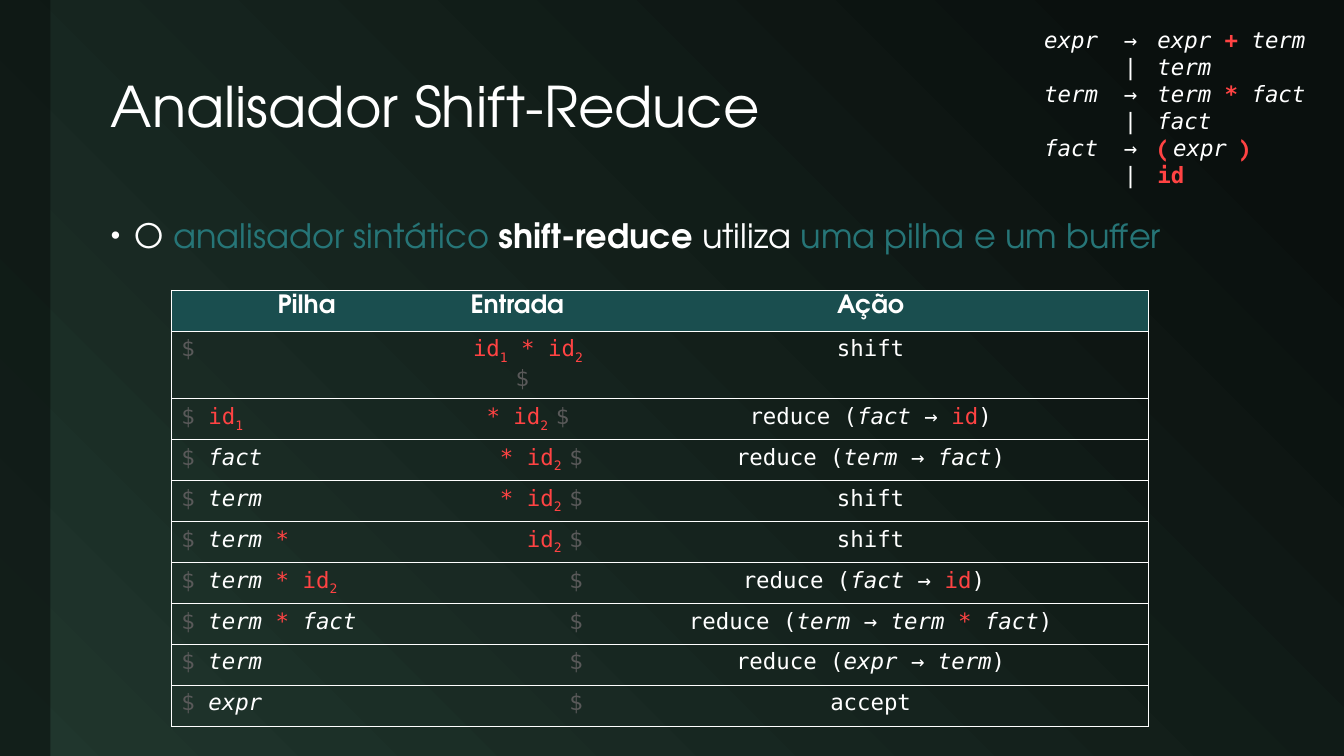
from lxml import etree
from pptx import Presentation
from pptx.dml.color import RGBColor
from pptx.enum import shapes, text
from pptx.oxml import ns
from pptx.util import Inches, Pt

COLORS = {"white": "FFFFFF", "red": "FF4343", "gray": "595959", "teal": "267577",
          "header": "1A4E4F", "dark": "0A100E", "green": "20362D"}
SANS, MONO = "TeX Gyre Adventor", "DejaVu Sans Mono"
NO_STYLE = "{2D5ABB26-0587-4C30-8999-92F81FD0307C}"
LEFT, CENTER, RIGHT = text.PP_ALIGN.LEFT, text.PP_ALIGN.CENTER, text.PP_ALIGN.RIGHT

STYLES = {
    "dollar": dict(color="gray"),
    "token": dict(color="red"),
    "sub": dict(color="red", subscript=True),
    "rule": dict(italic=True),
    "plain": dict(),
    "terminal": dict(color="red", bold=True),
    "paren": dict(color="red", bold=True, font=SANS),
    "sans": dict(font=SANS),
    "strong": dict(bold=True, font=SANS),
    "accent": dict(color="teal", font=SANS),
}

GRAMMAR = [
    ("[rule]expr", "→", "[rule]expr [terminal]+ [rule]term"),
    ("", "|", "[rule]term"),
    ("[rule]term", "→", "[rule]term [terminal]* [rule]fact"),
    ("", "|", "[rule]fact"),
    ("[rule]fact", "→", "[paren]( [rule]expr [paren])"),
    ("", "|", "[terminal]id"),
]


def reduction(head, body):
    return f"[plain]reduce ([rule]{head} [plain]→ {body}[plain])"


END = "[dollar]$"
SECOND = "[token]* id[sub]2 "
TRACE = [
    ("", "[token]id[sub]1[token] * id[sub]2\n" + END, "[plain]shift"),
    ("[token]id[sub]1", SECOND + END + " ", reduction("fact", "[token]id")),
    ("[rule]fact", SECOND + END, reduction("term", "[rule]fact")),
    ("[rule]term", SECOND + END, "[plain]shift"),
    ("[rule]term [token]*", "[token]id[sub]2 " + END, "[plain]shift"),
    ("[rule]term [token]* id[sub]2", END, reduction("fact", "[token]id") + " "),
    ("[rule]term [token]* [rule]fact", END,
     reduction("term", "[rule]term [token]* [rule]fact")),
    ("[rule]term", END, reduction("expr", "[rule]term")),
    ("[rule]expr", END, "[plain]accept"),
]


def rgb(name):
    return RGBColor.from_string(COLORS[name])


def write(paragraph, markup, size, align=LEFT):
    paragraph.alignment = align
    for piece in markup.split("[")[1:]:
        style, words = piece.split("]")
        look = STYLES[style]
        run = paragraph.add_run()
        run.text = words
        run.font.size = Pt(size)
        run.font.name = look.get("font", MONO)
        run.font.bold = look.get("bold", False)
        run.font.italic = look.get("italic", False)
        run.font.color.rgb = rgb(look.get("color", "white"))
        if look.get("subscript"):
            run.font._element.set("baseline", "-25000")
    if not markup:
        etree.SubElement(paragraph._p, ns.qn("a:endParaRPr"), sz=str(size * 100))


def add_text(slide, box):
    frame = slide.shapes.add_textbox(*map(Inches, box)).text_frame
    frame.word_wrap = True
    return frame


def add_plain_table(slide, box, row_count, widths):
    left, top, width, height = box
    shape = slide.shapes.add_table(row_count, len(widths), *map(Inches, box))
    table = shape.table
    table._tbl.tblPr.find(ns.qn("a:tableStyleId")).text = NO_STYLE
    table.first_row = table.horz_banding = False
    for column, column_width in zip(table.columns, widths):
        column.width = Inches(column_width)
    for row in table.rows:
        row.height = Inches(height / row_count)
    for cell in table.iter_cells():
        cell.fill.background()
    return table


def set_borders(cell, sides):
    properties = cell._tc.get_or_add_tcPr()
    for position, side in enumerate("LRTB"):
        line = etree.Element(ns.qn(f"a:ln{side}"), w=str(Pt(0.5)))
        if side in sides:
            fill = etree.SubElement(line, ns.qn("a:solidFill"))
            etree.SubElement(fill, ns.qn("a:srgbClr"), val=COLORS["white"])
        else:
            etree.SubElement(line, ns.qn("a:noFill"))
        properties.insert(position, line)


def add_backdrop(slide, box):
    fill = slide.background.fill
    fill.gradient()
    fill.gradient_angle = 225
    for stop, name, position in zip(fill.gradient_stops, ("dark", "green"), (0.1, 1)):
        stop.color.rgb = rgb(name)
        stop.position = position
    bar = slide.shapes.add_shape(shapes.MSO_SHAPE.RECTANGLE, *map(Inches, box))
    bar.shadow.inherit = False
    bar.line.fill.background()
    bar.fill.solid()
    bar.fill.fore_color.rgb = rgb("dark")
    color = bar._element.spPr.find(".//" + ns.qn("a:srgbClr"))
    etree.SubElement(color, ns.qn("a:alpha"), val="60000")


def add_title(slide, box):
    frame = add_text(slide, box)
    frame.vertical_anchor = text.MSO_ANCHOR.MIDDLE
    paragraph = frame.paragraphs[0]
    paragraph.line_spacing = 0.9
    write(paragraph, "[sans]Analisador Shift-Reduce", 40)


def add_statement(slide, box):
    paragraph = add_text(slide, box).paragraphs[0]
    paragraph.line_spacing = 1.2
    paragraph.space_before = Pt(18)
    write(paragraph, "[sans]O [accent]analisador sintático [strong]shift-reduce"
                     "[sans] utiliza [accent]uma pilha e um buffer", 24)
    properties = paragraph._p.get_or_add_pPr()
    properties.set("marL", str(Inches(0.24)))
    properties.set("indent", str(Inches(-0.24)))
    etree.SubElement(properties, ns.qn("a:buSzPct"), val="80000")
    etree.SubElement(properties, ns.qn("a:buFont"), typeface="Arial")
    etree.SubElement(properties, ns.qn("a:buChar"), char="•")


def add_trace(slide, box):
    table = add_plain_table(slide, box, len(TRACE) + 1, (2.68, 1.5, 5.51))
    for cell, side in zip(table.iter_cells(), ("L", "", "R") * len(table.rows)):
        set_borders(cell, "TB" + side)
    for column, heading in enumerate(("Pilha", "Entrada", "Ação")):
        cell = table.cell(0, column)
        cell.fill.solid()
        cell.fill.fore_color.rgb = rgb("header")
        write(cell.text_frame.paragraphs[0], "[strong]" + heading, 18, CENTER)
    for row, (stack, entry, action) in enumerate(TRACE, 1):
        pile = END + " " + stack if stack else END
        write(table.cell(row, 0).text_frame.paragraphs[0], pile, 16)
        write(table.cell(row, 2).text_frame.paragraphs[0], action, 16, CENTER)
        frame = table.cell(row, 1).text_frame
        first, *wrapped = entry.split("\n")
        write(frame.paragraphs[0], first, 16, RIGHT)
        for rest in wrapped:
            paragraph = frame.add_paragraph()
            write(paragraph, rest, 16, CENTER)
            paragraph._p.get_or_add_pPr().set("marL", str(Inches(0.1)))


def add_grammar(slide, box):
    table = add_plain_table(slide, box, len(GRAMMAR), (0.94, 0.39, 1.86))
    for row, (head, symbol, body) in enumerate(GRAMMAR):
        parts = (head, RIGHT), ("[plain]" + symbol, RIGHT), (body, LEFT)
        for column, (markup, align) in enumerate(parts):
            cell = table.cell(row, column)
            cell.margin_top = cell.margin_bottom = 0
            set_borders(cell, "")
            write(cell.text_frame.paragraphs[0], markup, 16, align)


presentation = Presentation()
presentation.slide_width, presentation.slide_height = Inches(13.33), Inches(7.5)
slide = presentation.slides.add_slide(presentation.slide_layouts[6])
add_backdrop(slide, (0, 0, 0.5, 7.5))
add_title(slide, (1, 0.42, 11.65, 1.33))
add_statement(slide, (1, 2, 11.65, 4.83))
add_trace(slide, (1.7, 2.88, 9.69, 4.06))
add_grammar(slide, (10.05, 0.28, 3.19, 1.5))
presentation.save("out.pptx")
